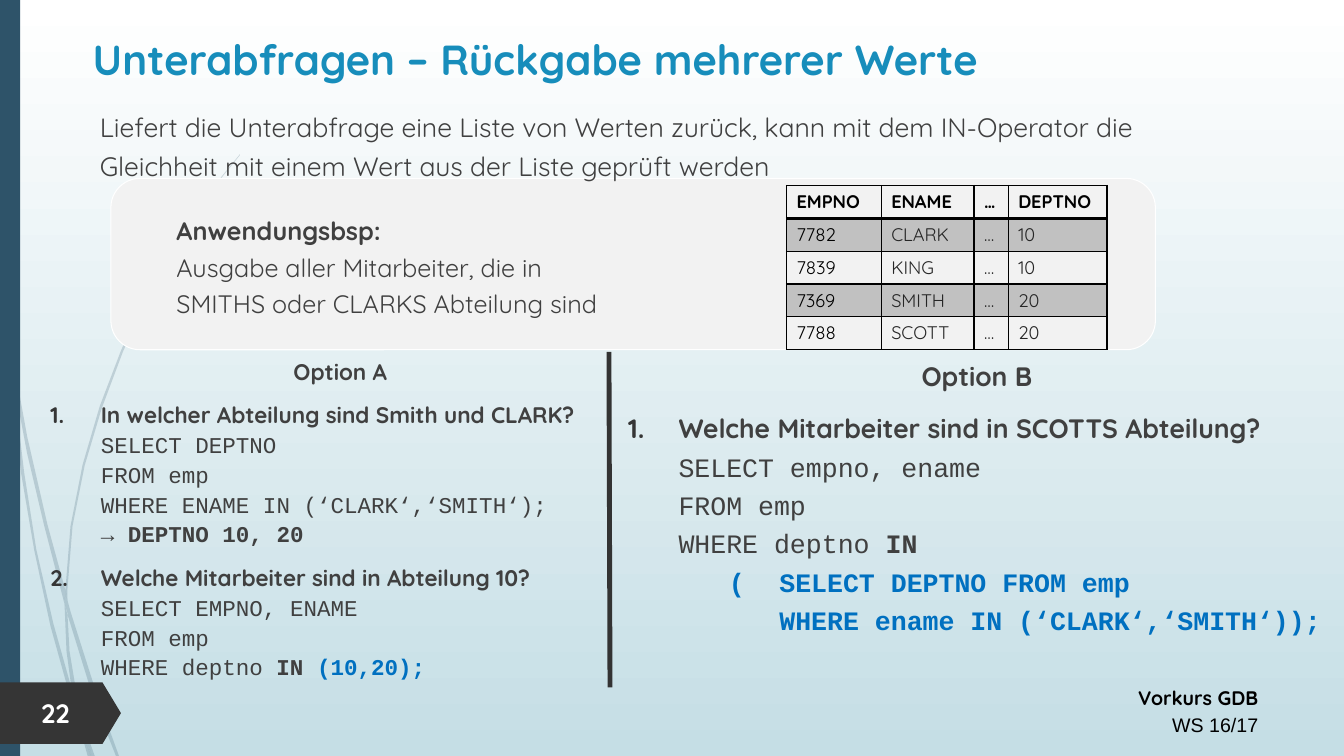
"""Build the slide on subqueries that return several values."""
from lxml.etree import SubElement
from pptx import Presentation
from pptx.dml.color import RGBColor
from pptx.enum.shapes import MSO_CONNECTOR, MSO_SHAPE
from pptx.enum.text import MSO_ANCHOR, MSO_AUTO_SIZE, PP_ALIGN
from pptx.oxml.ns import qn
from pptx.util import Inches, Pt

SANS, MONO = "Quicksand", "Courier New"
GRAY, BLUE, NAVY, BLACK = "404040", "0070C0", "2E5369", "000000"
LEFT, MID, RIGHT = PP_ALIGN.LEFT, PP_ALIGN.CENTER, PP_ALIGN.RIGHT


def paint(fill, tone, alpha=100):
    """Fill with a hex colour at a given opacity in percent."""
    fill.solid()
    fill.fore_color.rgb = RGBColor.from_string(tone)
    if alpha < 100:
        node = fill._xPr.find(".//" + qn("a:srgbClr"))
        SubElement(node, qn("a:alpha"), val=str(alpha * 1000))


def write(para, parts, size):
    """Add runs given as text, font, bold and colour; newlines break the line."""
    for text, face, bold, tone in parts:
        for i, line in enumerate(text.split("\n")):
            if i:
                para.add_line_break()
            if line:
                run = para.add_run()
                run.text = line
                run.font.name, run.font.size, run.font.bold = face, Pt(size), bold
                run.font.color.rgb = RGBColor.from_string(tone)
    for gap in para._p.findall(qn("a:br")):
        SubElement(gap, qn("a:rPr"), sz=str(round(size * 100)))


deck = Presentation()
deck.slide_width, deck.slide_height = Inches(13.33), Inches(7.5)
slide = deck.slides.add_slide(deck.slide_layouts[4])
shapes = slide.shapes
title, intro, left, case, right = list(slide.placeholders)

back = slide.background.fill
back.gradient()
back.gradient_angle = 270
for stop, tone in zip(back.gradient_stops, ("FFFFFF", "C5DEE5")):
    stop.color.rgb = RGBColor.from_string(tone)

wisps = [
    [(0.08, 3.5), (0.06, 3.22), (0, 2.82), (0, 2.99), (0.08, 3.44)],
    [(0.44, 5.22), (0.64, 5.99), (0.65, 5.86), (0.47, 5.2), (0.27, 4.33),
     (0.11, 3.45), (0.13, 3.76), (0.27, 4.5)],
    [(0.7, 6.07), (0.67, 5.96), (0.67, 6.1), (0.93, 6.94), (1.15, 7.5),
     (1.18, 7.5), (0.97, 6.92)],
    [(0.91, 7.5), (0.94, 7.5), (0.8, 7.11)],
    [(0.71, 6.83), (0.53, 6.19), (0.36, 5.45), (0.24, 4.69), (0.13, 3.76),
     (0.08, 3.5), (0.21, 4.7), (0.34, 5.46), (0.5, 6.21), (0.7, 6.93),
     (0.77, 7.14), (0.75, 7.07)],
    [(0.64, 5.99), (0.66, 6.46), (0.71, 6.83), (0.73, 6.92), (0.8, 7.11),
     (0.79, 7.06), (0.69, 6.46), (0.67, 6.1)],
    [(0.67, 5.84), (0.72, 5.22), (0.84, 4.62), (1.01, 4.05), (1.22, 3.49),
     (1.46, 2.96), (1.74, 2.45), (2.05, 1.98), (2.21, 1.75), (2.38, 1.54),
     (2.38, 1.53), (2.2, 1.75), (2.04, 1.97), (1.73, 2.44), (1.44, 2.95),
     (1.2, 3.48), (0.99, 4.03), (0.82, 4.61), (0.7, 5.22), (0.65, 5.84),
     (0.65, 5.86), (0.67, 5.96)],
    [(0.77, 7.14), (0.87, 7.5), (0.9, 7.5)],
    [(0.67, 6.08), (0.67, 5.96), (0.65, 5.86), (0.64, 5.99)],
    [(0.74, 6.92), (0.71, 6.83), (0.75, 7.07), (0.77, 7.14), (0.9, 7.5),
     (0.91, 7.5), (0.8, 7.11)],
]
for wisp in wisps:
    spots = [(Inches(x), Inches(y)) for x, y in wisp]
    pen = shapes.build_freeform(*spots[0])
    pen.add_line_segments(spots[1:])
    curve = pen.convert_to_shape()
    curve.shadow.inherit = False
    curve.line.fill.background()
    paint(curve.fill, NAVY, 20)

plain = [
    (MSO_SHAPE.RECTANGLE, (0, 0, 0.2, 7.5), NAVY, None),
    (MSO_SHAPE.PENTAGON, (0, 6.77, 1.2, 0.61), "353535", 0.3),
    (MSO_SHAPE.ROUNDED_RECTANGLE, (1.1, 1.77, 10.36, 1.7), "F2F2F2", 0.17),
]
for kind, area, tone, bend in plain:
    form = shapes.add_shape(kind, *map(Inches, area))
    form.shadow.inherit = False
    form.line.fill.background()
    paint(form.fill, tone)
    if bend:
        form.adjustments[0] = bend
paint(form.line.fill, "FFFFFF")
form.line.width = Pt(0.75)

for holder in (intro, left, right, case):
    shapes._spTree.append(holder._element)

rule = shapes.add_connector(
    MSO_CONNECTOR.STRAIGHT, Inches(6.04), Inches(3.49), Inches(6.05), Inches(6.82))
paint(rule.line.fill, "333333")
rule.line.width = Pt(3.5)
SubElement(rule._element.spPr, qn("a:effectLst"))
shapes._spTree.append(title._element)

foot, page = [shapes.add_textbox(0, 0, 0, 0) for _ in range(2)]
boxes = [
    (title, (0.54, 0.28, 9.54, 0.81), 30, 1, [
        (MID, False, [("Unterabfragen – Rückgabe mehrerer Werte", SANS, True, "178DBB")])]),
    (intro, (0.89, 0.99, 11.24, 0.89), 19, 1.2, [
        (LEFT, False, [("Liefert die Unterabfrage eine Liste von Werten zurück, kann mit "
                        "dem IN-Operator die Gleichheit mit einem Wert aus der Liste "
                        "geprüft werden", SANS, False, GRAY)])]),
    (left, (0.4, 3.47, 5.95, 3.64), 16.1, 1.1, [
        (MID, False, [("Option A", SANS, True, GRAY)]),
        (LEFT, True, [
            ("In welcher Abteilung sind Smith und CLARK?\n", SANS, True, GRAY),
            ("SELECT DEPTNO\nFROM emp\nWHERE ENAME IN (‘CLARK‘,‘SMITH‘);\n",
             MONO, False, GRAY),
            ("→ DEPTNO 10, 20", MONO, True, GRAY)]),
        (LEFT, True, [
            ("Welche Mitarbeiter sind in Abteilung 10?\n", SANS, True, GRAY),
            ("SELECT EMPNO, ENAME\nFROM emp\nWHERE deptno ", MONO, False, GRAY),
            ("IN", MONO, True, GRAY),
            (" (10,20);", MONO, True, BLUE)])]),
    (right, (6.13, 3.46, 7.12, 3.4), 19, 1.2, [
        (MID, False, [("Option B", SANS, True, GRAY)]),
        (LEFT, True, [
            ("Welche Mitarbeiter sind in SCOTTS Abteilung?\n", SANS, True, GRAY),
            ("SELECT empno, ename\nFROM emp\nWHERE deptno ", MONO, False, GRAY),
            ("IN\n", MONO, True, GRAY),
            ("\t(\tSELECT DEPTNO FROM emp\n\t\tWHERE ename IN (‘CLARK‘,‘SMITH‘));",
             MONO, True, BLUE)])]),
    (case, (1.65, 2.03, 4.7, 1.27), 18, 1.2, [
        (LEFT, False, [
            ("Anwendungsbsp:\n", SANS, True, GRAY),
            ("Ausgabe aller Mitarbeiter, die in SMITHS oder CLARKS Abteilung sind",
             SANS, False, GRAY)])]),
    (foot, (7.38, 6.72, 5.2, 0.64), 14, 1.14, [
        (RIGHT, False, [("Vorkurs GDB", SANS, True, BLACK)]),
        (RIGHT, False, [("WS 16/17", "Arial", False, BLACK)])]),
    (page, (0.31, 6.86, 0.7, 0.42), 19, 1, [
        (LEFT, False, [("22", SANS, True, "FFFFFF")])]),
]
for box, area, size, pitch, paras in boxes:
    box.left, box.top, box.width, box.height = map(Inches, area)
    frame = box.text_frame
    frame.word_wrap = True
    frame.auto_size = MSO_AUTO_SIZE.NONE
    frame.vertical_anchor = MSO_ANCHOR.TOP
    for i, (align, listed, parts) in enumerate(paras):
        para = frame.add_paragraph() if i else frame.paragraphs[0]
        para.alignment, para.line_spacing = align, pitch
        para.space_before = Pt(10 if i and box is not foot else 0)
        props = para._p.get_or_add_pPr()
        props.set("marL", str(Inches(0.5) if listed else 0))
        props.set("indent", str(-Inches(0.5) if listed else 0))
        if listed:
            SubElement(SubElement(props, qn("a:buClr")), qn("a:srgbClr"), val="353535")
            SubElement(props, qn("a:buAutoNum"), type="arabicPeriod")
        else:
            SubElement(props, qn("a:buNone"))
        write(para, parts, size)

rows = [
    ("EMPNO", "ENAME", "…", "DEPTNO"),
    ("7782", "CLARK", "…", "10"),
    ("7839", "KING", "…", "10"),
    ("7369", "SMITH", "…", "20"),
    ("7788", "SCOTT", "…", "20"),
]
grid = shapes.add_table(
    5, 4, Inches(7.8), Inches(1.84), Inches(3.18), Inches(1.6)).table
for col, wide in zip(grid.columns, (0.94, 0.92, 0.34, 0.98)):
    col.width = Inches(wide)
for r, row in enumerate(rows):
    for c, text in enumerate(row):
        cell = grid.cell(r, c)
        if r % 2:
            paint(cell.fill, BLACK, 20)
        else:
            cell.fill.background()
        tone = "262626" if r and c else BLACK
        write(cell.text_frame.paragraphs[0], [(text, SANS, r == 0, tone)], 13)
        props = cell._tc.get_or_add_tcPr()
        for i, side in enumerate("LRTB"):
            thick = (r, side) in ((0, "B"), (1, "T"))
            edge = SubElement(props, qn("a:ln" + side), w=str(Pt(2 if thick else 1)))
            SubElement(SubElement(edge, qn("a:solidFill")), qn("a:srgbClr"), val=BLACK)
            props.insert(i, edge)

deck.save("out.pptx")
